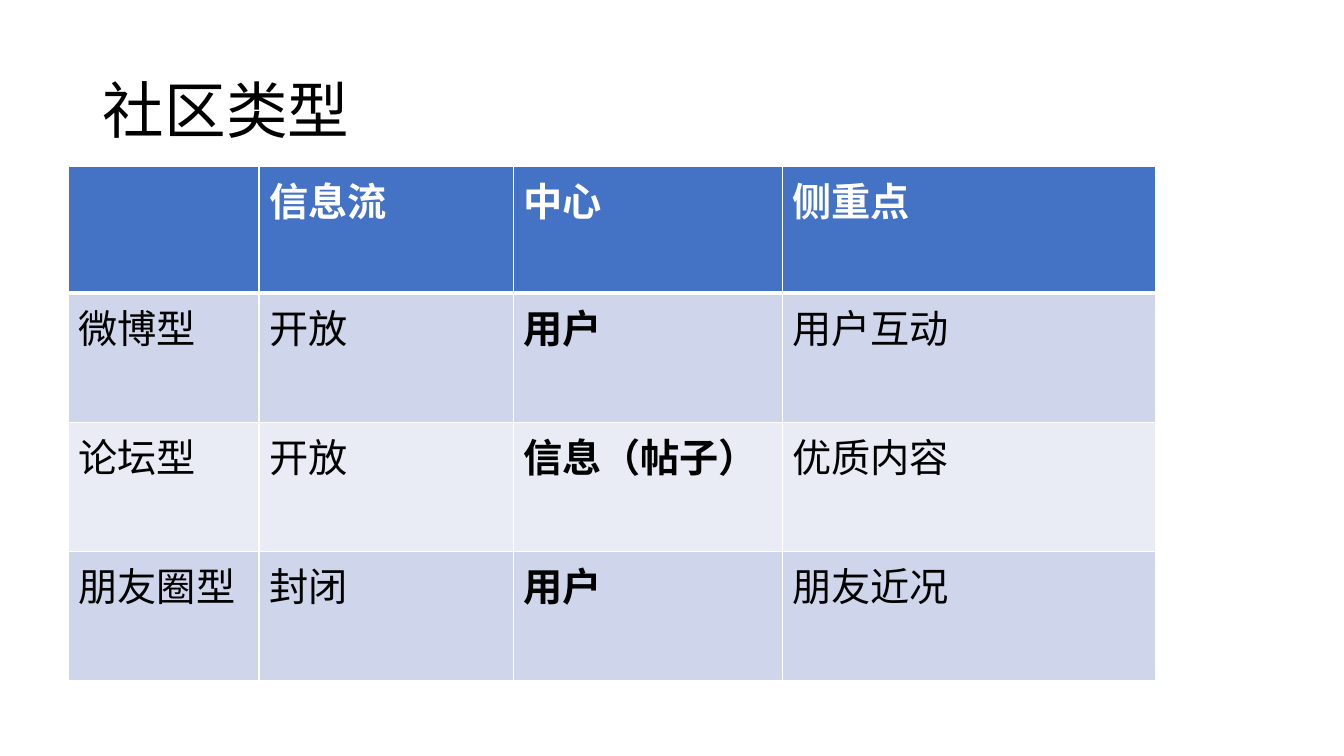
import pptx
import pptx.dml.color
import pptx.enum.text
import pptx.oxml
import pptx.oxml.ns
import pptx.util
from pptx.util import Inches

HEADER = ["", "信息流", "中心", "侧重点"]
COMMUNITIES = [
    ["微博型", "开放", "用户", "用户互动"],
    ["论坛型", "开放", "信息（帖子）", "优质内容"],
    ["朋友圈型", "封闭", "用户", "朋友近况"],
]
CENTER_COLUMN = 2


def color(hex_value):
    return pptx.dml.color.RGBColor.from_string(hex_value)


class SlideBuilder:
    font_name = "Calibri"
    text_color = "000000"
    header_text = "FFFFFF"
    header_fill = "4472C4"
    band_fills = ["CFD5EA", "E9EBF5"]
    border_color = "FFFFFF"

    def __init__(self, presentation):
        self.slide = presentation.slides.add_slide(presentation.slide_layouts[5])

    def format_paragraph(self, paragraph, size, hex_value, bold=False):
        paragraph.alignment = pptx.enum.text.PP_ALIGN.LEFT
        font = paragraph.font
        font.name = self.font_name
        font.size = pptx.util.Pt(size)
        font.bold = bold
        font.color.rgb = color(hex_value)

    def title(self, text, left, top, width, height):
        shape = self.slide.shapes.title
        shape.left, shape.top = Inches(left), Inches(top)
        shape.width, shape.height = Inches(width), Inches(height)
        frame = shape.text_frame
        frame.text = text
        frame.word_wrap = True
        frame.auto_size = pptx.enum.text.MSO_AUTO_SIZE.NONE
        frame.vertical_anchor = pptx.enum.text.MSO_ANCHOR.MIDDLE
        paragraph = frame.paragraphs[0]
        paragraph.line_spacing = 0.9
        self.format_paragraph(paragraph, 44, self.text_color)

    def borders(self, cell, widths):
        properties = cell._tc.get_or_add_tcPr()
        namespace = pptx.oxml.ns.nsdecls("a")
        for side, width in widths.items():
            properties.append(pptx.oxml.parse_xml(
                f'<a:ln{side} {namespace} w="{pptx.util.Pt(width)}"><a:solidFill>'
                f'<a:srgbClr val="{self.border_color}"/></a:solidFill></a:ln{side}>'))

    def cell(self, cell, text, row, column):
        is_header = row == 0
        top = 3 if row == 1 else 1
        bottom = 3 if is_header else 1
        self.borders(cell, {"L": 1, "R": 1, "T": top, "B": bottom})
        cell.fill.solid()
        fill = self.header_fill if is_header else self.band_fills[(row - 1) % 2]
        cell.fill.fore_color.rgb = color(fill)
        cell.text = text
        self.format_paragraph(
            cell.text_frame.paragraphs[0], 28,
            self.header_text if is_header else self.text_color,
            is_header or column == CENTER_COLUMN)

    def table(self, rows, left, top, column_widths, row_heights):
        table = self.slide.shapes.add_table(
            len(rows), len(column_widths), Inches(left), Inches(top),
            Inches(sum(column_widths)), Inches(sum(row_heights))).table
        for column, width in zip(table.columns, column_widths):
            column.width = Inches(width)
        for row, height in zip(table.rows, row_heights):
            row.height = Inches(height)
        for row, texts in enumerate(rows):
            for column, text in enumerate(texts):
                self.cell(table.cell(row, column), text, row, column)


def main():
    presentation = pptx.Presentation()
    presentation.slide_width = Inches(13.33)
    presentation.slide_height = Inches(7.5)
    builder = SlideBuilder(presentation)
    builder.title("社区类型", 0.92, 0.4, 11.5, 1.45)
    builder.table([HEADER] + COMMUNITIES, 0.68, 1.65,
                  [1.89, 2.52, 2.67, 3.7], [1.26] + [1.28] * 3)
    presentation.save("out.pptx")


if __name__ == "__main__":
    main()
